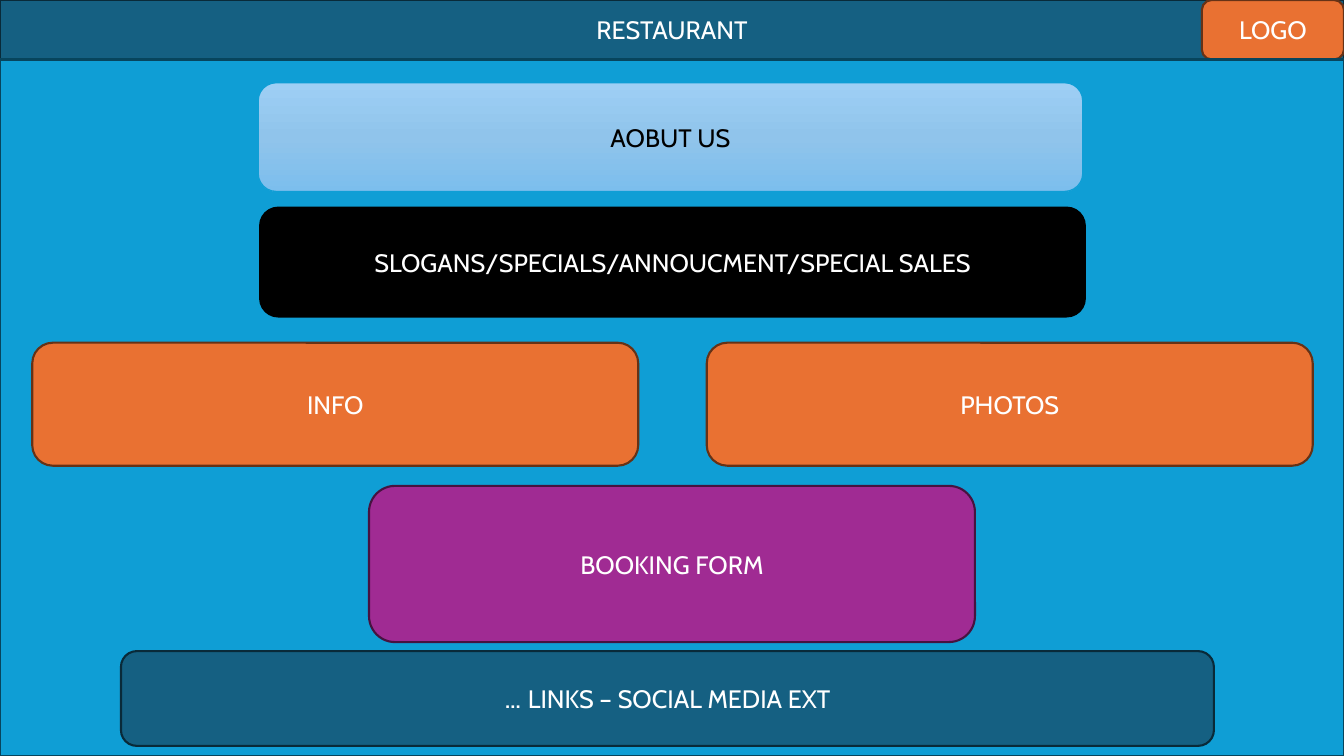
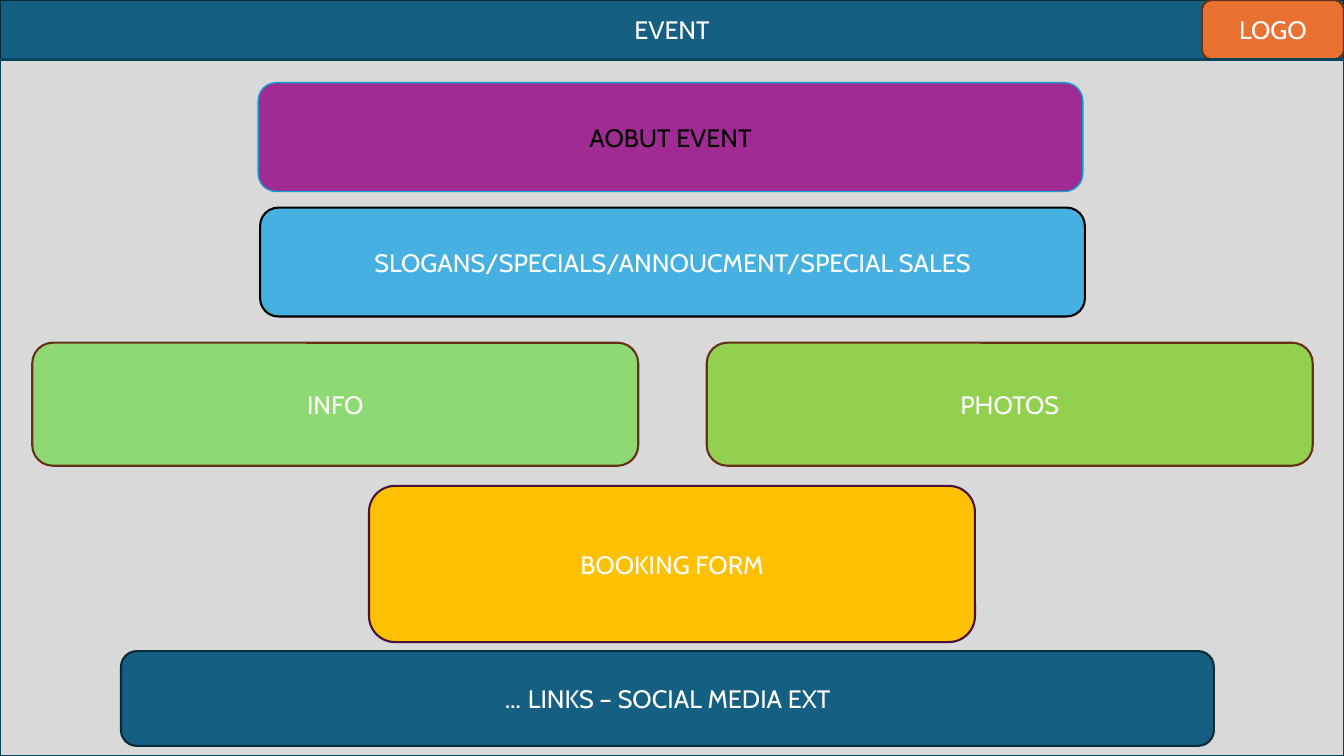
import copy
from dataclasses import dataclass

import pptx
import pptx.dml.color
import pptx.enum.shapes
import pptx.enum.text
import pptx.oxml.ns
import pptx.util

Inches = pptx.util.Inches
RGBColor = pptx.dml.color.RGBColor
RECT = pptx.enum.shapes.MSO_SHAPE.RECTANGLE
ROUNDED = pptx.enum.shapes.MSO_SHAPE.ROUNDED_RECTANGLE

WHITE = RGBColor(0xFF, 0xFF, 0xFF)
BLACK = RGBColor(0x00, 0x00, 0x00)
TEAL = RGBColor(0x15, 0x60, 0x82)
DARK_TEAL = RGBColor(0x09, 0x2A, 0x39)
ORANGE = RGBColor(0xE9, 0x71, 0x32)
BROWN = RGBColor(0x66, 0x32, 0x16)
BLUE = RGBColor(0x0F, 0x9E, 0xD5)
DARK_BLUE = RGBColor(0x07, 0x45, 0x5D)
SKY = RGBColor(0x46, 0xB1, 0xE1)
PURPLE = RGBColor(0xA0, 0x2B, 0x93)
DARK_PURPLE = RGBColor(0x46, 0x13, 0x40)
GRAY = RGBColor(0xD9, 0xD9, 0xD9)
LIME = RGBColor(0x92, 0xD0, 0x50)
MINT = RGBColor(0x8E, 0xD9, 0x73)
GOLD = RGBColor(0xFF, 0xC0, 0x00)
PALE_BLUES = (RGBColor(0x9E, 0xCF, 0xF5), RGBColor(0x90, 0xC4, 0xEB),
              RGBColor(0x7C, 0xBE, 0xED))

FONT = "Cabin"
SLIDE_W, SLIDE_H = 13.33, 7.5
HEADER_H = 0.59
LOGO_W = 1.41
CARD_W = 6.01
WIDE_W = 8.18

Fill = RGBColor | tuple[RGBColor, ...]


@dataclass(frozen=True)
class Block:
    text: str
    left: float
    top: float
    width: float
    height: float
    fill: Fill
    line: RGBColor
    line_width: float = 1.5
    text_color: RGBColor = WHITE
    outline: pptx.enum.shapes.MSO_SHAPE = ROUNDED


@dataclass(frozen=True)
class Page:
    """Wording and colours that differ from page to page."""
    title: str
    about: str
    background: RGBColor
    about_fill: Fill
    slogans_fill: RGBColor
    info_fill: RGBColor
    photos_fill: RGBColor
    booking_fill: RGBColor


PAGES = (
    Page("RESTAURANT", "AOBUT US", BLUE, PALE_BLUES, BLACK, ORANGE, ORANGE, PURPLE),
    Page("EVENT", "AOBUT EVENT", GRAY, PURPLE, SKY, MINT, LIME, GOLD),
)


def page_blocks(page: Page) -> list[Block]:
    """List the blocks below the header, from back to front."""
    return [
        Block("LOGO", SLIDE_W - LOGO_W, 0, LOGO_W, HEADER_H, ORANGE, BROWN),
        Block("", 0, HEADER_H, SLIDE_W, SLIDE_H - HEADER_H, page.background,
              DARK_BLUE, outline=RECT),
        Block(page.about, 2.56, 0.82, WIDE_W, 1.08, page.about_fill, BLUE,
              line_width=1, text_color=BLACK),
        Block("PHOTOS", 7.01, 3.4, CARD_W, 1.22, page.photos_fill, BROWN),
        Block("INFO", 0.32, 3.4, CARD_W, 1.22, page.info_fill, BROWN),
        Block("SLOGANS/SPECIALS/ANNOUCMENT/SPECIAL SALES", 2.58, 2.06, WIDE_W, 1.08,
              page.slogans_fill, BLACK),
        Block("BOOKING FORM", 3.66, 4.82, CARD_W, 1.55, page.booking_fill, DARK_PURPLE),
        Block("LINKS – SOCIAL MEDIA EXT …", 1.2, 6.46, 10.84, 0.94, TEAL, DARK_TEAL),
    ]


def write_text(shape, text: str, *, color: RGBColor = WHITE, size: float = 18) -> None:
    """Write one centred right-to-left line."""
    frame = shape.text_frame
    frame.word_wrap = True
    frame.auto_size = pptx.enum.text.MSO_AUTO_SIZE.NONE
    frame.vertical_anchor = pptx.enum.text.MSO_ANCHOR.MIDDLE
    paragraph = frame.paragraphs[0]
    paragraph.alignment = pptx.enum.text.PP_ALIGN.CENTER
    paragraph._p.get_or_add_pPr().set("rtl", "1")
    run = paragraph.add_run()
    run.text = text
    run.font.name = FONT
    run.font.size = pptx.util.Pt(size)
    run.font.color.rgb = color


def fill_shape(shape, fill: Fill) -> None:
    """Fill with one colour, or with three from top to bottom."""
    if isinstance(fill, RGBColor):
        shape.fill.solid()
        shape.fill.fore_color.rgb = fill
        return
    shape.fill.gradient()
    shape.fill.gradient_angle = 270
    # The default gradient has two stops; add one in the middle
    stop_list = shape.fill._xPr.find(".//" + pptx.oxml.ns.qn("a:gsLst"))
    stop_list.insert(1, copy.deepcopy(stop_list[0]))
    for stop, color, position in zip(shape.fill.gradient_stops, fill, (0, 0.5, 1)):
        stop.color.rgb = color
        stop.position = position


def style_block(shape, block: Block) -> None:
    fill_shape(shape, block.fill)
    shape.line.color.rgb = block.line
    shape.line.width = pptx.util.Pt(block.line_width)
    if block.text:
        write_text(shape, block.text, color=block.text_color)


def add_block(slide, block: Block) -> None:
    shape = slide.shapes.add_shape(
        block.outline, Inches(block.left), Inches(block.top),
        Inches(block.width), Inches(block.height))
    shape.shadow.inherit = False
    style_block(shape, block)


def add_header(slide, title: str) -> None:
    """Turn the title placeholder into the header band."""
    header = slide.shapes.title
    header.left, header.top = Inches(0), Inches(0)
    header.width, header.height = Inches(SLIDE_W), Inches(HEADER_H)
    style_block(header, Block(title, 0, 0, SLIDE_W, HEADER_H, TEAL, DARK_TEAL))


def main() -> None:
    deck = pptx.Presentation()
    deck.slide_width, deck.slide_height = Inches(SLIDE_W), Inches(SLIDE_H)
    title_only = deck.slide_layouts[5]
    for page in PAGES:
        slide = deck.slides.add_slide(title_only)
        add_header(slide, page.title)
        for block in page_blocks(page):
            add_block(slide, block)
    deck.save("out.pptx")


if __name__ == "__main__":
    main()
